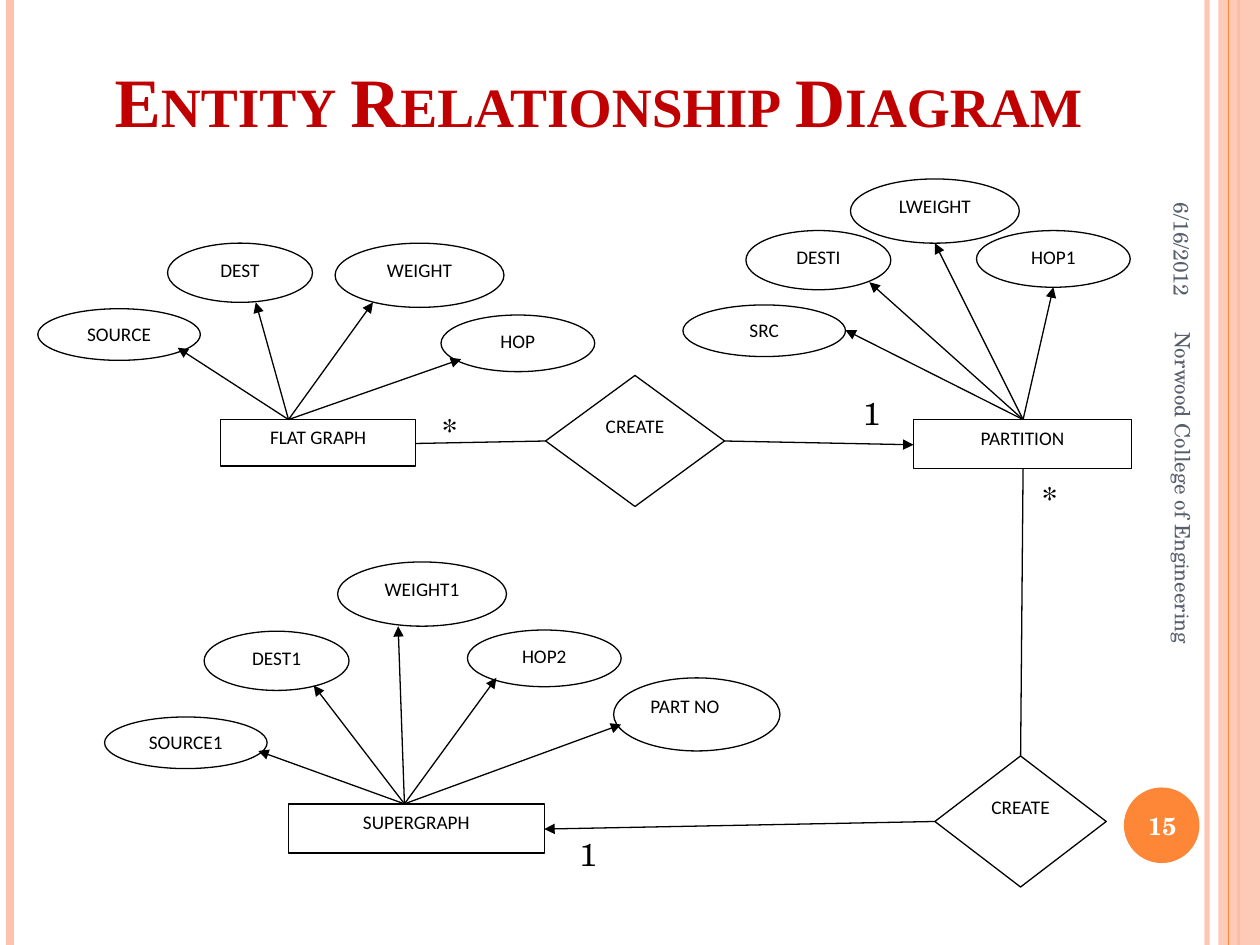
from dataclasses import dataclass

from lxml import etree
from pptx import Presentation
from pptx.dml.color import RGBColor
from pptx.enum.shapes import MSO_CONNECTOR, MSO_SHAPE
from pptx.enum.text import MSO_ANCHOR, PP_ALIGN
from pptx.oxml.ns import qn
from pptx.util import Inches, Pt

STRAIGHT = MSO_CONNECTOR.STRAIGHT
RECT, OVAL, DIAMOND = MSO_SHAPE.RECTANGLE, MSO_SHAPE.OVAL, MSO_SHAPE.DIAMOND
TOP, MIDDLE = MSO_ANCHOR.TOP, MSO_ANCHOR.MIDDLE
LEFT, CENTER, RIGHT = PP_ALIGN.LEFT, PP_ALIGN.CENTER, PP_ALIGN.RIGHT


@dataclass(frozen=True)
class Theme:
    """Colours, fonts and type sizes of the slide."""
    ink: str = "000000"
    paper: str = "FFFFFF"
    accent: str = "FE8637"
    pale: str = "FEC3AE"
    heading: str = "C00000"
    muted: str = "575F6D"
    title_font: str = "Times New Roman"
    body_font: str = "TeX Gyre Schola"
    node_font: str = "Calibri"
    title_size: float = 39.6
    mark_size: float = 18
    number_size: float = 14
    footer_size: float = 12
    node_size: float = 11
    outline: float = 0.75


T = Theme()
NODE = dict(name=T.node_font, size=T.node_size, color=T.ink)
MARK = dict(name=T.body_font, size=T.mark_size, color=T.ink)
FOOTER = dict(name=T.body_font, size=T.footer_size, color=T.muted)
NUMBER = dict(name=T.body_font, size=T.number_size, color=T.paper, bold=True)
TITLE = dict(name=T.title_font, size=T.title_size, color=T.heading, bold=True)

# Attribute ovals: width and height by role
SRC, DST, WGT, HOP, PART = ((1.29, 0.41), (1.15, 0.47), (1.34, 0.51),
                            (1.22, 0.45), (1.32, 0.58))

# Entity: name, box, x of the arrow hub, attributes.
# Attribute: name, size, place and arrow tip, both from the entity's corner.
ENTITIES = [
    ("FLAT GRAPH", (1.75, 3.33, 1.55, 0.37), 0.54, [
        ("SOURCE", SRC, (-1.45, -0.88), (-0.34, -0.57)),
        ("DEST", DST, (-0.42, -1.4), (0.28, -0.93)),
        ("WEIGHT", WGT, (0.91, -1.4), (1.21, -0.93)),
        ("HOP", HOP, (1.75, -0.83), (1.91, -0.48))]),
    ("PARTITION", (7.25, 3.33, 1.73, 0.39), 0.87, [
        ("SRC", SRC, (-1.83, -0.91), (-0.54, -0.71)),
        ("DESTI", DST, (-1.33, -1.5), (-0.35, -1.09)),
        ("LWEIGHT", WGT, (-0.5, -1.91), (0.17, -1.4)),
        ("HOP1", HOP, (0.5, -1.5), (1.11, -1.05))]),
    ("SUPERGRAPH", (2.29, 6.38, 2.03, 0.39), 0.92, [
        ("SOURCE1", SRC, (-1.46, -0.69), (-0.24, -0.42)),
        ("DEST1", DST, (-0.67, -1.37), (0.2, -0.94)),
        ("WEIGHT1", WGT, (0.39, -1.92), (0.87, -1.41)),
        ("HOP2", HOP, (1.42, -1.38), (1.65, -1)),
        ("PART NO", PART, (2.58, -1), (2.64, -0.63))]),
]

# Relationship: box, then links as start, end, arrowhead
RELATIONSHIPS = [
    ((4.33, 2.98, 1.42, 1.04), [((3.3, 3.52), (4.33, 3.5), False),
                                ((5.75, 3.5), (7.25, 3.53), True)]),
    ((7.42, 6, 1.36, 1.04), [((7.42, 6.52), (4.32, 6.58), True),
                             ((8.12, 3.72), (8.1, 6), False)]),
]

CARDINALITIES = [("*", 3.41, 3.21), ("1", 6.75, 3.08),
                 ("*", 8.17, 3.75), ("1", 4.5, 6.58)]


def inches(values):
    """Turn numbers into lengths."""
    return [Inches(v) for v in values]


def set_alpha(element, percent):
    """Make the colour inside an element partly transparent."""
    color = next(element.iter(qn("a:srgbClr")))
    etree.SubElement(color, qn("a:alpha"), val=str(percent * 1000))


def write(shape, text, font, align=CENTER, anchor=TOP, after=0):
    """Put one formatted paragraph in a shape."""
    tf = shape.text_frame
    tf.word_wrap, tf.vertical_anchor = True, anchor
    p = tf.paragraphs[0]
    p.alignment, p.space_after = align, Pt(after)
    r = p.add_run()
    r.text = text
    values = dict(font)
    r.font.color.rgb = RGBColor.from_string(values.pop("color"))
    values["size"] = Pt(values["size"])
    for key, value in values.items():
        setattr(r.font, key, value)
    return r


def add_label(s, box, text, font, align=LEFT, anchor=TOP, rotation=0):
    """Add a text box."""
    sp = s.shapes.add_textbox(*inches(box))
    sp.rotation = rotation
    write(sp, text, font, align, anchor)


def add_solid(s, kind, box, fill, line=None):
    """Add a filled preset shape, outlined if a line colour is given."""
    sp = s.shapes.add_shape(kind, *inches(box))
    sp.shadow.inherit = False
    sp.fill.solid()
    sp.fill.fore_color.rgb = RGBColor.from_string(fill)
    if line:
        sp.line.color.rgb = RGBColor.from_string(line)
        sp.line.width = Pt(T.outline)
    else:
        sp.line.fill.background()
    return sp


def add_node(s, kind, box, text, align=CENTER):
    """Add a labelled diagram shape."""
    write(add_solid(s, kind, box, T.paper, T.ink), text, NODE, align, after=10)


def add_line(s, start, end, color=T.ink, width=T.outline, arrow=False):
    """Add a straight line, with an arrowhead at its end if wanted."""
    c = s.shapes.add_connector(STRAIGHT, *inches((*start, *end)))
    c.line.color.rgb = RGBColor.from_string(color)
    c.line.width = Pt(width)
    if arrow:
        etree.SubElement(c.line._get_or_add_ln(), qn("a:tailEnd"), type="triangle")
    etree.SubElement(c._element.spPr, qn("a:effectLst"))
    return c


def add_frame(s, height):
    """Draw the side stripes and the number disc."""
    def stripe(x, color, width):
        return add_line(s, (x, 0), (x, height), color, width)

    set_alpha(stripe(9.58, T.pale, 3)._element.spPr, 93)
    stripe(0.08, T.pale, 4.5)
    stripe(9.83, T.accent, 1.5)
    band = add_solid(s, RECT, (9.67, 0, 0.33, height), T.pale)
    set_alpha(band._element.spPr, 87)
    stripe(9.75, T.accent, 0.75)
    add_solid(s, OVAL, (8.92, 6.25, 0.6, 0.6), T.accent)


def add_title(s, box, text):
    """Place and format the title in small capitals."""
    sp = s.shapes.title
    sp.left, sp.top, sp.width, sp.height = inches(box)
    r = write(sp, text, TITLE, anchor=MIDDLE)
    r.font._element.set("cap", "small")


def add_footer(s):
    """Add the upright date and footer, and the slide number."""
    add_label(s, (8.28, 1.14, 2.2, 0.42), "6/16/2012", FOOTER, RIGHT, MIDDLE, 90)
    add_label(s, (8.89, 6.27, 0.67, 0.57), "15", NUMBER, CENTER, MIDDLE)
    add_label(s, (7.64, 4.09, 3.5, 0.4), "Norwood College of Engineering",
              FOOTER, LEFT, MIDDLE, 90)


def add_entity(s, name, box, hub, attributes):
    """Draw an entity with its attributes fanned out from the hub."""
    x, y = box[:2]
    add_node(s, RECT, box, name)
    for text, size, (dx, dy), (tip_x, tip_y) in attributes:
        align = LEFT if size == PART else CENTER
        add_node(s, OVAL, (x + dx, y + dy, *size), text, align)
        add_line(s, (x + hub, y), (x + tip_x, y + tip_y), arrow=True)


def add_relationship(s, box, links):
    """Draw a relationship diamond and its links."""
    add_node(s, DIAMOND, box, "CREATE")
    for start, end, arrow in links:
        add_line(s, start, end, arrow=arrow)


def build():
    """Build and save the slide."""
    prs = Presentation()
    prs.slide_width, prs.slide_height = inches((10, 7.5))
    s = prs.slides.add_slide(prs.slide_layouts[5])
    add_frame(s, 7.5)
    add_title(s, (0.5, 0.25, 8.5, 1.08), "Entity Relationship Diagram")
    add_footer(s)
    for entity in ENTITIES:
        add_entity(s, *entity)
    for relationship in RELATIONSHIPS:
        add_relationship(s, *relationship)
    for text, x, y in CARDINALITIES:
        add_label(s, (x, y, 0.33, 0.4), text, MARK)
    prs.save("out.pptx")


build()
